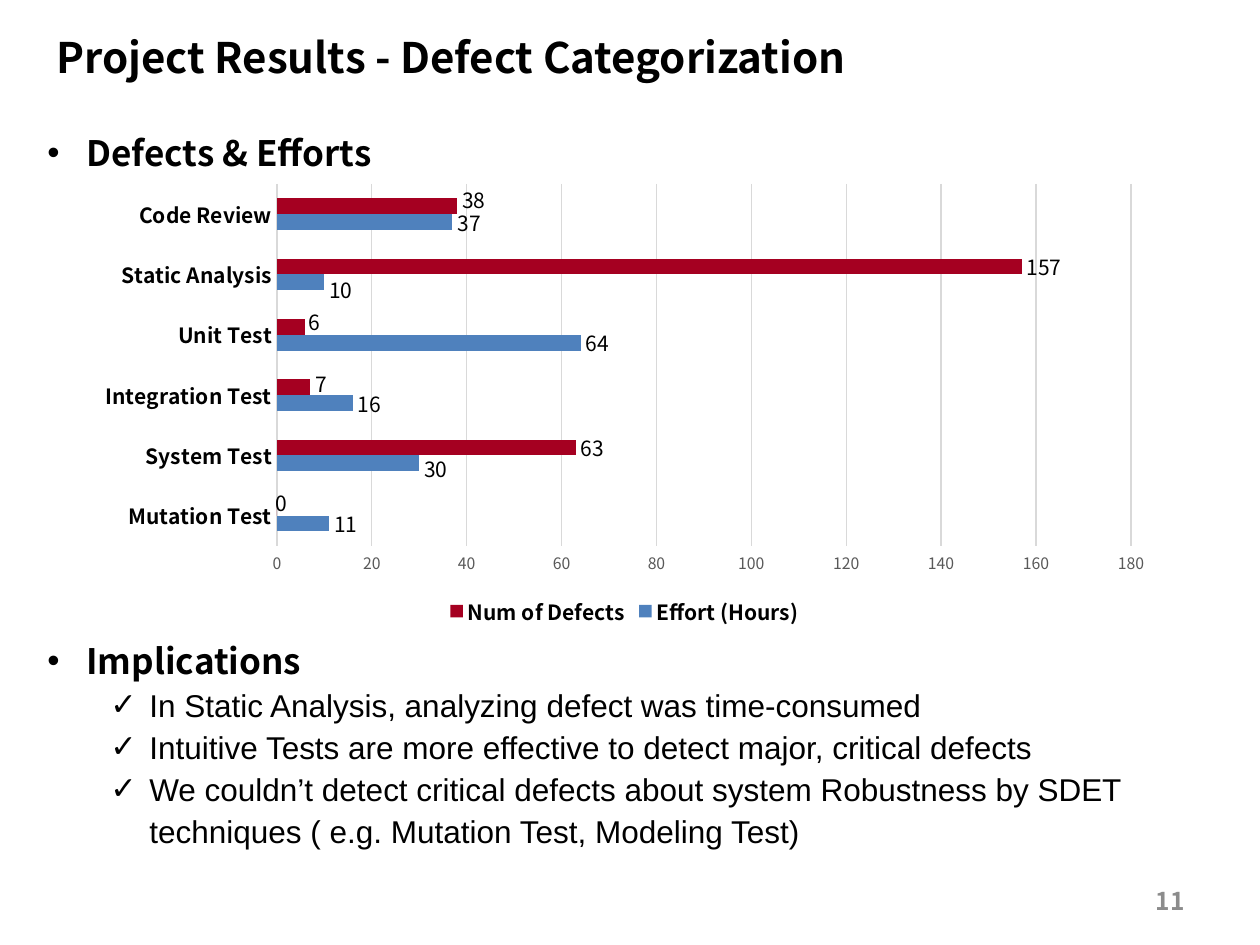
from lxml import etree
from pptx import Presentation, util as u
from pptx.chart.data import CategoryChartData
from pptx.dml.color import RGBColor
from pptx.enum import chart as ch, text as t
from pptx.oxml.ns import qn

PX = 914400 / 126
BLACK = RGBColor(0x00, 0x00, 0x00)
GRAY = RGBColor(0x8C, 0x8C, 0x8C)
AXIS_GRAY = RGBColor(0x59, 0x59, 0x59)
GRID_GRAY = RGBColor(0xD9, 0xD9, 0xD9)
BLUE = RGBColor(0x4F, 0x81, 0xBD)
RED = RGBColor(0xA5, 0x00, 0x21)
SANS, BODY = "Noto Sans CJK KR", "Arial"

TITLE = "Project Results - Defect Categorization"
PAGE_NUMBER = "11"
IMPLICATIONS = [
    "In Static Analysis, analyzing defect was time-consumed",
    "Intuitive Tests are more effective to detect major, critical defects",
    "We couldn’t detect critical defects about system Robustness by SDET "
    "techniques ( e.g. Mutation Test, Modeling Test)",
]
CATEGORIES = ["Mutation Test", "System Test", "Integration Test",
              "Unit Test", "Static Analysis", "Code Review"]
# name, values, colour, label shifts in px by category index
SERIES = [
    ("Effort (Hours)", [11, 30, 16, 64, 10, 37], BLUE, {1: (0, 5), 4: (0, 7)}),
    ("Num of Defects", [0, 63, 7, 6, 157, 38], RED,
     {0: (-6, -6), 2: (0, -4), 3: (-2, -6), 5: (0, -7)}),
]
CHART_BOX = (84, 175, 1081, 457)
PLOT_BOX = (277, 184, 854, 362)


def px(*lengths):
    return [u.Emu(round(length * PX)) for length in lengths]


def set_font(font, size, color=BLACK, bold=False, name=SANS):
    font.size, font.bold, font.name = u.Pt(size), bold, name
    font.color.rgb = color


def add_box(page, *place, anchor=t.MSO_ANCHOR.TOP):
    frame = page.shapes.add_textbox(*px(*place)).text_frame
    frame.word_wrap = True
    frame.vertical_anchor = anchor
    return frame


def write(para, words, size, color=BLACK, bold=True, name=SANS,
          bullet=None, indent=39, spacing=None, level=0):
    para.level = level
    if spacing:
        para.line_spacing = spacing
    if bullet:
        props = para._p.get_or_add_pPr()
        left, hang = px(indent, -39)
        props.set("marL", str(left))
        props.set("indent", str(hang))
        etree.SubElement(props, qn("a:buFont"), typeface=BODY)
        etree.SubElement(props, qn("a:buChar"), char=bullet)
    span = para.add_run()
    span.text = words
    set_font(span.font, size, color, bold, name)


def make_layout(**values):
    layout = etree.Element(qn("c:layout"))
    manual = etree.SubElement(layout, qn("c:manualLayout"))
    for tag, value in values.items():
        shown = value if isinstance(value, str) else f"{value:.4f}"
        etree.SubElement(manual, qn(f"c:{tag}"), val=shown)
    return layout


def place_plot(chart):
    left, top, width, height = CHART_BOX
    x, y, w, h = PLOT_BOX
    area = chart._chartSpace.chart.plotArea
    for old in area.findall(qn("c:layout")):
        area.remove(old)
    area.insert(0, make_layout(
        layoutTarget="inner", xMode="edge", yMode="edge",
        x=(x - left) / width, y=(y - top) / height, w=w / width, h=h / height))


def format_labels(series, shifts):
    labels = series.data_labels
    labels.show_value = True
    labels.position = ch.XL_LABEL_POSITION.OUTSIDE_END
    set_font(labels.font, 12)
    for index in shifts:
        label = series.points[index].data_label
        set_font(label.font, 12)
        label.position = ch.XL_LABEL_POSITION.OUTSIDE_END
    for element in series._element.iter(qn("c:dLbl")):
        number = element.find(qn("c:idx"))
        dx, dy = shifts[int(number.get("val"))]
        number.addnext(make_layout(x=dx / CHART_BOX[2], y=dy / CHART_BOX[3]))


def add_defect_chart(page):
    data = CategoryChartData()
    data.categories = CATEGORIES
    for name, values, _, _ in SERIES:
        data.add_series(name, values)
    chart = page.shapes.add_chart(
        ch.XL_CHART_TYPE.BAR_CLUSTERED, *px(*CHART_BOX), data).chart
    set_font(chart.font, 10)
    chart.has_title = False
    chart.has_legend = True
    chart.legend.position = ch.XL_LEGEND_POSITION.BOTTOM
    chart.legend.include_in_layout = False
    set_font(chart.legend.font, 12, bold=True)

    plot = chart.plots[0]
    plot.gap_width, plot.overlap = 182, 0
    plot.vary_by_categories = False
    for series, (_, _, color, shifts) in zip(plot.series, SERIES):
        series.format.fill.solid()
        series.format.fill.fore_color.rgb = color
        format_labels(series, shifts)

    names, scale = chart.category_axis, chart.value_axis
    for axis in (names, scale):
        axis.major_tick_mark = axis.minor_tick_mark = ch.XL_TICK_MARK.NONE
    set_font(names.tick_labels.font, 12, bold=True)
    set_font(scale.tick_labels.font, 9, AXIS_GRAY)
    scale.minimum_scale, scale.maximum_scale, scale.major_unit = 0, 180, 20
    scale.format.line.fill.background()
    scale.has_major_gridlines = True
    for line in (names.format.line, scale.major_gridlines.format.line):
        line.color.rgb = GRID_GRAY
        line.width = u.Pt(0.75)
    place_plot(chart)


def main():
    deck = Presentation()
    deck.slide_width, deck.slide_height = px(1260, 945)
    page = deck.slides.add_slide(deck.slide_layouts[6])

    number = add_box(page, 903, 876, 294, 50, anchor=t.MSO_ANCHOR.MIDDLE)
    number.paragraphs[0].alignment = t.PP_ALIGN.RIGHT
    write(number.paragraphs[0], PAGE_NUMBER, 14, GRAY)

    write(add_box(page, 44, 25, 893, 63).paragraphs[0], TITLE, 24)
    for heading, top, height, items in (
            ("Defects & Efforts", 113, 62, []),
            ("Implications", 621, 280, IMPLICATIONS)):
        frame = add_box(page, 35, top, 1171, height)
        write(frame.paragraphs[0], heading, 20, bullet="•", spacing=1.3)
        for item in items:
            write(frame.add_paragraph(), item, 18, bold=False, name=BODY,
                  bullet="✓", indent=102, spacing=u.Pt(24), level=1)

    add_defect_chart(page)
    deck.save("out.pptx")


if __name__ == "__main__":
    main()
